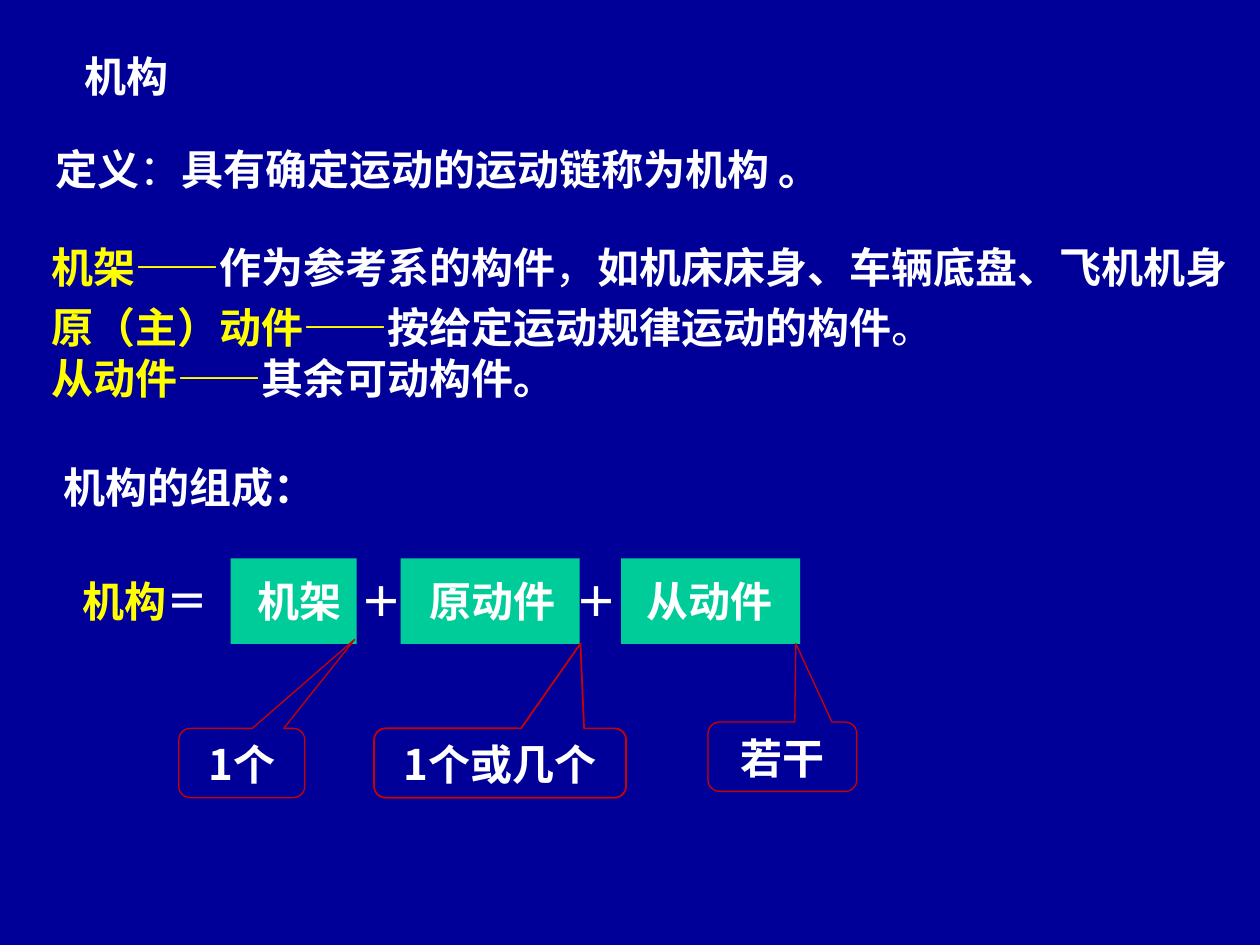
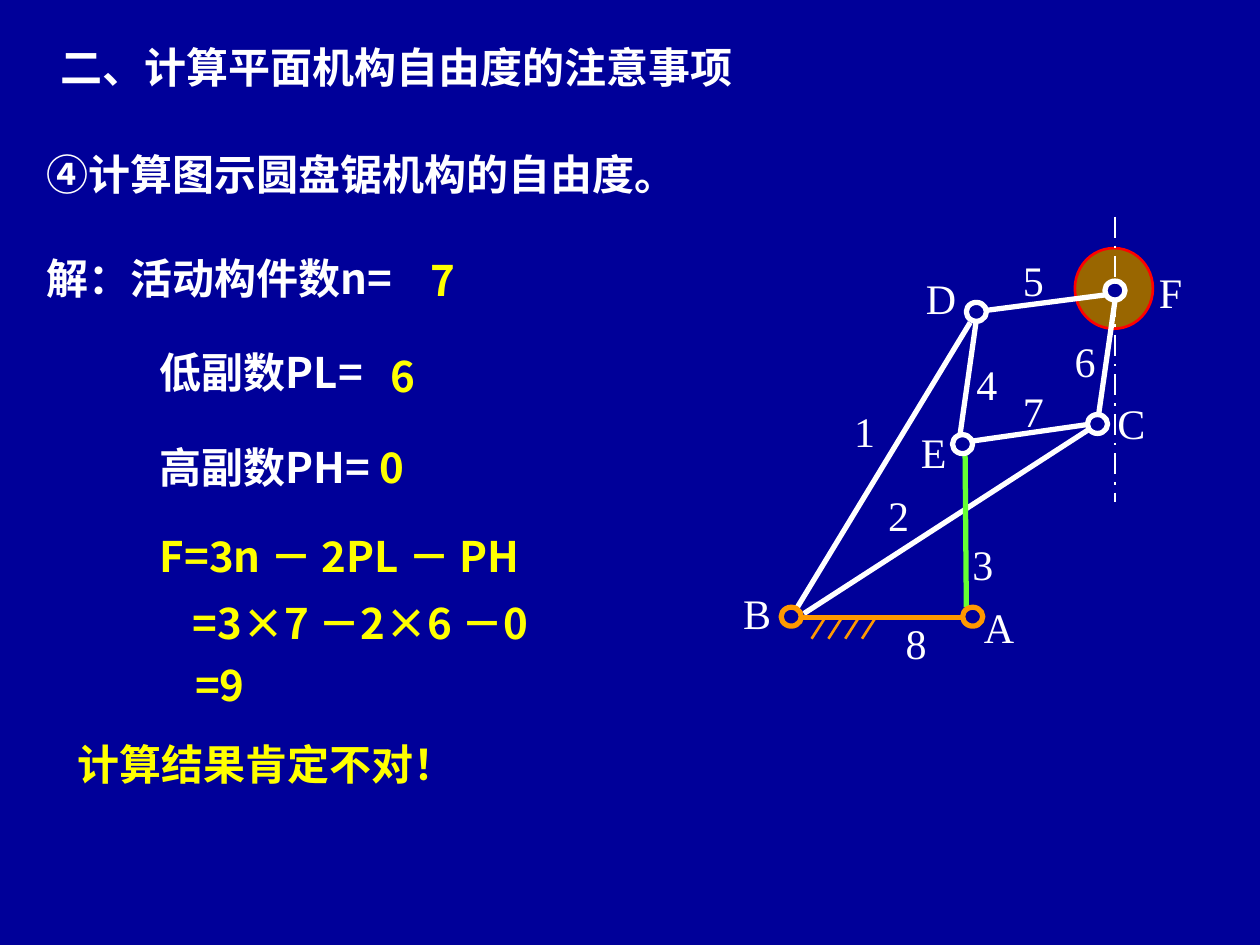
"""Build two slides on mechanisms and their degrees of freedom."""
from lxml import etree
from pptx import Presentation
from pptx.dml.color import RGBColor
from pptx.enum.dml import MSO_LINE
from pptx.enum.shapes import MSO_CONNECTOR, MSO_SHAPE
from pptx.enum.text import MSO_ANCHOR, PP_ALIGN
from pptx.oxml.ns import qn
from pptx.util import Pt

STRAIGHT = MSO_CONNECTOR.STRAIGHT
RECTANGLE, ELLIPSE = MSO_SHAPE.RECTANGLE, MSO_SHAPE.OVAL
CALLOUT = MSO_SHAPE.ROUNDED_RECTANGULAR_CALLOUT
LONG_DASH_DOT = MSO_LINE.LONG_DASH_DOT
LEFT, CENTER, TOP = PP_ALIGN.LEFT, PP_ALIGN.CENTER, MSO_ANCHOR.TOP

NAVY = RGBColor(0x00, 0x00, 0x99)
WHITE = RGBColor(0xFF, 0xFF, 0xFF)
YELLOW = RGBColor(0xFF, 0xFF, 0x00)
TEAL = RGBColor(0x00, 0xCC, 0x99)
CRIMSON = RGBColor(0xCC, 0x00, 0x00)
RED = RGBColor(0xFF, 0x00, 0x00)
ORANGE = RGBColor(0xFF, 0x99, 0x00)
GREEN = RGBColor(0x66, 0xFF, 0x33)
BROWN = RGBColor(0x99, 0x66, 0x00)
SANS, SERIF = "Noto Sans CJK SC", "Times New Roman"
TEXT_SIZE, LINE_PITCH, BOX_HEIGHT = 24, 29, 36

# (left, top, width, font, paragraphs); a span is (text, colour, bold)
MECHANISM_TEXTS = [
    (41, 25.2, 159, SERIF, [[("机构", WHITE, True)]]),
    (24.5, 78.5, 661, SANS, [[
        ("定义", WHITE, True), ("：", WHITE, False),
        ("具有确定运动的运动链称为机构 。", WHITE, True)]]),
    (22.3, 134, 697.7, SANS, [[
        ("机架——", YELLOW, True), ("作为参考系的构件", WHITE, True),
        ("，", WHITE, False), ("如机床床身、车辆底盘、飞机机身", WHITE, True)]]),
    (29.5, 260, 257, SANS, [[("机构的组成：", WHITE, True)]]),
    (22.3, 168.5, 679, SANS, [
        [("原（主）动件——", YELLOW, True),
         ("按给定运动规律运动的构件", WHITE, True), ("。", WHITE, False)],
        [("从动件——", YELLOW, True), ("其余可动构件。", WHITE, True)]]),
]
EQUATION = (40.3, 325.4, 430, SERIF, [[
    ("机构", YELLOW, True),
    ("＝\t机架\t＋\t原动件\t＋\t从动件", WHITE, True)]])
EQUATION_TABS = [99.5, 158.5, 198, 281.5, 322]
TERM_TOP, TERM_HEIGHT, CALLOUT_HEIGHT = 319, 49, 39.6
# (term left, term width, note, note left, note top, note width, tip x, tip y, line)
TERMS = [
    (354.96, 102.24, "若干", 404.6, 412.6, 85, 0.09, -1.633, 0.75),
    (228.96, 102.24, "1个或几个", 213.8, 416.2, 144, 0.319, -1.724, 1),
    (131.8, 72, "1个", 102.2, 416.2, 72, 0.896, -1.784, 0.75),
]

# (left, top, width, text, colour)
SOLUTION = [
    (27.4, 20.2, 542, "二、计算平面机构自由度的注意事项", WHITE),
    (19.4, 81.4, 483, "④计算图示圆盘锯机构的自由度。", WHITE),
    (19.4, 140.4, 290, "解：活动构件数n=", WHITE),
    (239, 141.8, 40.3, "7", YELLOW),
    (84.2, 194.4, 178.6, "低副数PL=", WHITE),
    (216, 196.6, 40.3, "6", YELLOW),
    (84.2, 299.5, 293.8, "F=3n － 2PL － PH", YELLOW),
    (103, 337.7, 293.8, "=3×7 －2×6 －0", YELLOW),
    (104.4, 373, 157.7, "=9", YELLOW),
    (37.4, 418.3, 339.8, "计算结果肯定不对！", YELLOW),
]
HIGHER_PAIRS = (84.2, 248.4, 178.6, SANS,
                [[("高副数PH= ", WHITE, True), ("0", YELLOW, True)]])

SAW_DISC = (614.2, 141.8, 44.6, 46.1)
SAW_AXIS = (637.2, 123.8, 637.2, 286.6)
LINKS = [
    ((454.3, 349.2, 554.4, 184.3), WHITE),
    ((459.4, 350.6, 622.1, 245.5), WHITE),
    ((551.5, 259.2, 552.2, 347), GREEN),
    ((548.6, 248.4, 558, 182.2), WHITE),
    ((560.2, 177.8, 637.2, 167.8), WHITE),
    ((627.8, 236.9, 637.2, 171.4), WHITE),
    ((555.8, 252, 621.4, 242.6), WHITE),
    ((457.9, 352.8, 550.1, 352.8), ORANGE),
]
JOINT_SIZE = (11.5, 10.8)
JOINTS = [
    (550.1, 347, ORANGE), (446.4, 347, ORANGE), (621.4, 236.9, WHITE),
    (552.2, 172.8, WHITE), (544.3, 248.4, WHITE), (631.4, 160.6, WHITE),
]
HATCH_COUNT, HATCH_LEFT, HATCH_GAP = 4, 471.6, 9.6
HATCH_TOP, HATCH_RUN, HATCH_DROP = 352.8, 7.8, 12.2
LABEL_WIDTH = 28.8
LABELS = {
    "1": (481, 228.2), "2": (500.4, 275.8), "3": (548.6, 303.8),
    "4": (550.8, 200.9), "5": (577.4, 141.8), "6": (607, 187.9),
    "7": (577.4, 216.7), "8": (510.5, 349.2), "A": (555.1, 339.8),
    "B": (417.6, 331.9), "C": (631.4, 223.2), "D": (522, 151.9),
    "E": (519.1, 239.8), "F": (655.2, 148.3),
}


def add_page(deck):
    page = deck.slides.add_slide(deck.slide_layouts[6])
    page.background.fill.solid()
    page.background.fill.fore_color.rgb = NAVY
    return page


def write(frame, paragraphs, font, align=LEFT, tabs=()):
    frame.word_wrap = True
    frame.vertical_anchor = TOP
    for index, spans in enumerate(paragraphs):
        para = frame.add_paragraph() if index else frame.paragraphs[0]
        para.alignment = align
        para.line_spacing = Pt(LINE_PITCH)
        if tabs:
            stops = etree.SubElement(para._p.get_or_add_pPr(), qn("a:tabLst"))
            for stop in tabs:
                etree.SubElement(stops, qn("a:tab"), pos=str(int(Pt(stop))), algn="l")
        para.font.size = Pt(TEXT_SIZE)
        para.font.name = font
        etree.SubElement(para.font._element, qn("a:ea"), typeface=SANS)
        for text, color, bold in spans:
            span = para.add_run()
            span.text = text
            span.font.color.rgb = color
            span.font.bold = bold


def add_text(page, left, top, width, font, paragraphs, tabs=()):
    height = BOX_HEIGHT + LINE_PITCH * (len(paragraphs) - 1)
    box = page.shapes.add_textbox(Pt(left), Pt(top), Pt(width), Pt(height))
    write(box.text_frame, paragraphs, font, tabs=tabs)


def add_figure(page, kind, bounds, fill=None, line=None, weight=1):
    figure = page.shapes.add_shape(kind, *map(Pt, bounds))
    figure.shadow.inherit = False
    if fill is None:
        figure.fill.background()
    else:
        figure.fill.solid()
        figure.fill.fore_color.rgb = fill
    if line is None:
        figure.line.fill.background()
    else:
        figure.line.color.rgb = line
        figure.line.width = Pt(weight)
    return figure


def add_line(page, ends, color, weight, dash=None):
    line = page.shapes.add_connector(STRAIGHT, *map(Pt, ends))
    line.line.color.rgb = color
    line.line.width = Pt(weight)
    if dash is not None:
        line.line.dash_style = dash
    etree.SubElement(line._element.spPr, qn("a:effectLst"))


def build_mechanism_page(deck):
    page = add_page(deck)
    for left, width, note, note_left, note_top, note_width, tip_x, tip_y, weight in TERMS:
        add_figure(page, RECTANGLE, (left, TERM_TOP, width, TERM_HEIGHT), TEAL)
        callout = add_figure(page, CALLOUT, (note_left, note_top, note_width, CALLOUT_HEIGHT),
                             line=CRIMSON, weight=weight)
        callout.adjustments[0] = tip_x
        callout.adjustments[1] = tip_y
        write(callout.text_frame, [[(note, WHITE, True)]], SANS, CENTER)
    for text in MECHANISM_TEXTS:
        add_text(page, *text)
    add_text(page, *EQUATION, tabs=EQUATION_TABS)


def draw_saw(page):
    add_figure(page, ELLIPSE, SAW_DISC, BROWN, RED, 1.5)
    add_line(page, SAW_AXIS, WHITE, 1.5, LONG_DASH_DOT)
    for index in range(HATCH_COUNT):
        x = HATCH_LEFT + HATCH_GAP * index
        add_line(page, (x, HATCH_TOP, x - HATCH_RUN, HATCH_TOP + HATCH_DROP), ORANGE, 1.5)
    for ends, color in LINKS:
        add_line(page, ends, color, 3)
    for left, top, color in JOINTS:
        add_figure(page, ELLIPSE, (left, top, *JOINT_SIZE), NAVY, color, 3)
    for label, (left, top) in LABELS.items():
        add_text(page, left, top, LABEL_WIDTH, SERIF, [[(label, WHITE, False)]])


def build_saw_page(deck):
    page = add_page(deck)
    draw_saw(page)
    for left, top, width, text, color in SOLUTION:
        add_text(page, left, top, width, SANS, [[(text, color, True)]])
    add_text(page, *HIGHER_PAIRS)


def main():
    deck = Presentation()
    deck.slide_width, deck.slide_height = Pt(720), Pt(540)
    build_mechanism_page(deck)
    build_saw_page(deck)
    deck.save("out.pptx")


if __name__ == "__main__":
    main()
